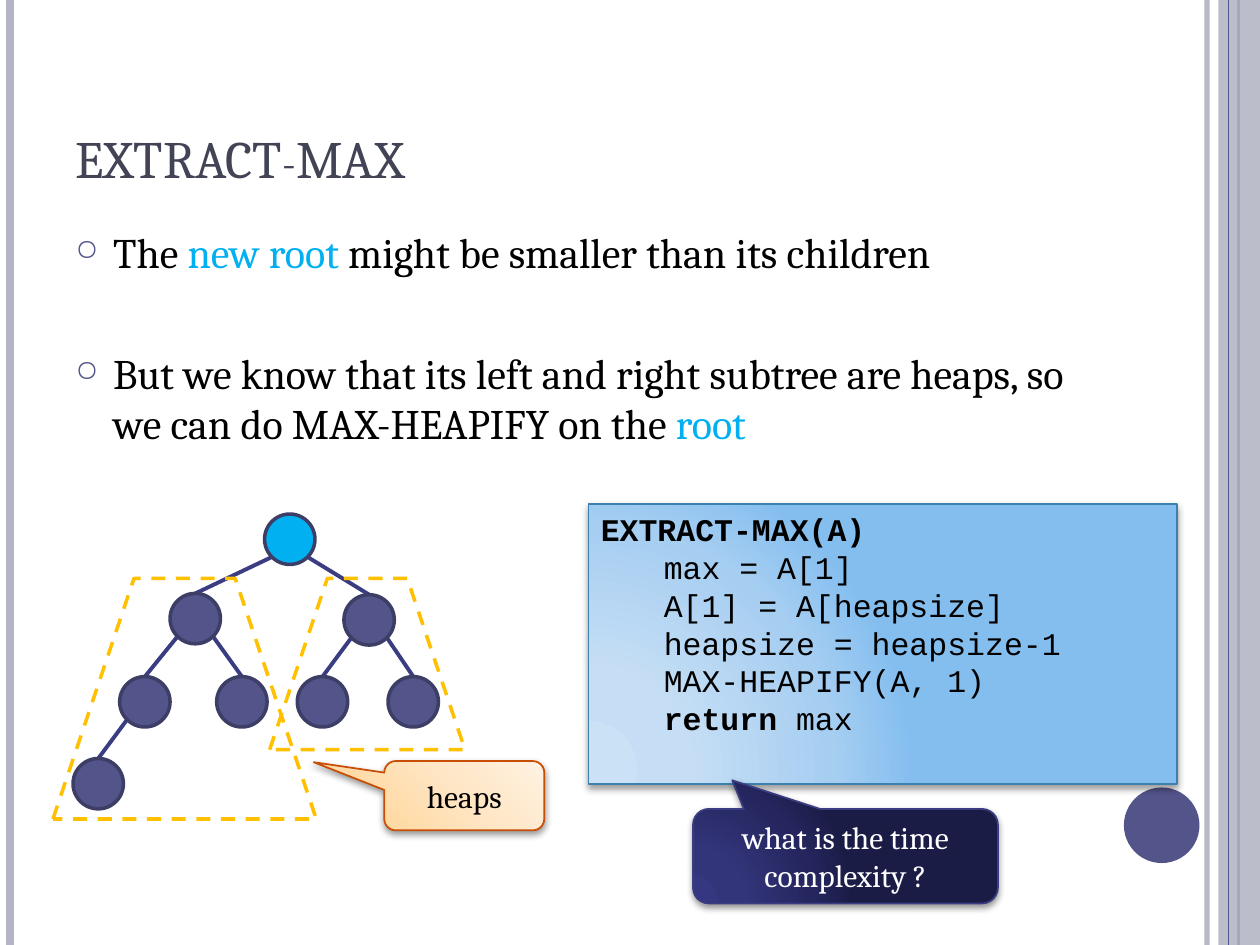
from dataclasses import dataclass

from lxml import etree
from pptx import Presentation
from pptx.dml.color import RGBColor
from pptx.enum.dml import MSO_LINE
from pptx.enum.shapes import MSO_CONNECTOR, MSO_SHAPE
from pptx.enum.text import MSO_ANCHOR, MSO_AUTO_SIZE, PP_ALIGN
from pptx.oxml.ns import qn
from pptx.util import Inches, Pt

STRAIGHT = MSO_CONNECTOR.STRAIGHT
OVAL, RECTANGLE, TRAPEZOID = MSO_SHAPE.OVAL, MSO_SHAPE.RECTANGLE, MSO_SHAPE.TRAPEZOID
CALLOUT = MSO_SHAPE.ROUNDED_RECTANGULAR_CALLOUT
DASH = MSO_LINE.DASH
TOP, MIDDLE, BOTTOM = MSO_ANCHOR.TOP, MSO_ANCHOR.MIDDLE, MSO_ANCHOR.BOTTOM
LEFT, CENTER = PP_ALIGN.LEFT, PP_ALIGN.CENTER
NO_AUTOFIT = MSO_AUTO_SIZE.NONE


@dataclass(frozen=True)
class Theme:
    serif: str = "Cambria"
    mono: str = "Courier New"
    title_size: int = 30
    body_size: int = 24
    label_size: int = 18
    title: RGBColor = RGBColor.from_string("424456")
    text: RGBColor = RGBColor.from_string("000000")
    light_text: RGBColor = RGBColor.from_string("FFFFFF")
    bar: RGBColor = RGBColor.from_string("B3B4C4")
    node: RGBColor = RGBColor.from_string("53548A")
    node_line: RGBColor = RGBColor.from_string("3D3E66")
    edge: RGBColor = RGBColor.from_string("3B3D82")
    root: RGBColor = RGBColor.from_string("00B0F0")
    heap: RGBColor = RGBColor.from_string("FFC000")
    heap_label_line: RGBColor = RGBColor.from_string("C84E06")
    code_line: RGBColor = RGBColor.from_string("3C81AE")
    heap_label_fill: tuple = ((0, "FFD8A0"), (50, "FFE6C5"), (100, "FFF2E3"))
    code_fill: tuple = ((0, "CBE1F6"), (30, "C6DEF5"), (75, "A6CEF1"), (100, "84BEEF"))
    question_fill: tuple = ((0, "353780"), (30, "33357B"), (75, "25265E"), (100, "1B1C46"))


theme = Theme()


def add_line(shapes, start, end, color, width):
    line = shapes.add_connector(STRAIGHT, *map(Inches, start + end))
    line.line.color.rgb = color
    line.line.width = Pt(width)
    etree.SubElement(line._element.spPr, qn("a:effectLst"))
    return line


def add_panel(kind, box, stops, radial, line_color, opacity):
    """Add a shape with a gradient fill and a soft shadow below it."""
    panel = slide.shapes.add_shape(kind, *map(Inches, box))
    panel.line.color.rgb = line_color
    panel.line.width = Pt(1)
    panel.fill.gradient()
    gradient = panel._element.spPr.find(qn("a:gradFill"))
    for child in list(gradient):
        gradient.remove(child)
    stop_list = etree.SubElement(gradient, qn("a:gsLst"))
    for position, color in stops:
        stop = etree.SubElement(stop_list, qn("a:gs"), pos=str(position * 1000))
        etree.SubElement(stop, qn("a:srgbClr"), val=color)
    if radial:
        circle = etree.SubElement(gradient, qn("a:path"), path="circle")
        etree.SubElement(circle, qn("a:fillToRect"), l="5000", t="100000", r="120000", b="10000")
    else:
        etree.SubElement(gradient, qn("a:lin"), ang=str(315 * 60000), scaled="0")
    panel.shadow.inherit = False
    effects = panel._element.spPr.find(qn("a:effectLst"))
    shadow = etree.SubElement(effects, qn("a:outerShdw"), blurRad=str(Pt(4)), dist=str(Pt(2)),
                              dir=str(90 * 60000), rotWithShape="0")
    shadow_color = etree.SubElement(shadow, qn("a:srgbClr"), val="000000")
    etree.SubElement(shadow_color, qn("a:alpha"), val=str(opacity * 1000))
    panel.text_frame.word_wrap = True
    return panel


presentation = Presentation()
presentation.slide_width, presentation.slide_height = Inches(10), Inches(7.5)
slide = presentation.slides.add_slide(presentation.slide_layouts[5])
shapes = slide.shapes

# Side bars and the round ornament
outer_bar = add_line(shapes, (9.58, 0), (9.58, 7.5), theme.bar, 3)
add_line(shapes, (0.08, 0), (0.08, 7.5), theme.bar, 4.5)
add_line(shapes, (9.83, 0), (9.83, 7.5), theme.bar, 1.5).line.color.rgb = theme.node
band = shapes.add_shape(RECTANGLE, Inches(9.67), 0, Inches(0.33), Inches(7.5))
add_line(shapes, (9.75, 0), (9.75, 7.5), theme.node, 0.75)
ornament = shapes.add_shape(OVAL, Inches(8.92), Inches(6.25), Inches(0.6), Inches(0.6))
for shape, color in ((band, theme.bar), (ornament, theme.node)):
    shape.fill.solid()
    shape.fill.fore_color.rgb = color
    shape.line.fill.background()
    shape.shadow.inherit = False
for shape, opacity in ((outer_bar, 93), (band, 87)):
    color = shape._element.spPr.find(".//" + qn("a:srgbClr"))
    etree.SubElement(color, qn("a:alpha"), val=str(opacity * 1000))

# Title
title = shapes.title
title.left, title.top, title.width, title.height = map(Inches, (0.5, 0.3, 8.17, 1.25))
title.text_frame.text = "EXTRACT-MAX"
title.text_frame.auto_size = NO_AUTOFIT
title.text_frame.vertical_anchor = BOTTOM
title.text_frame.paragraphs[0].alignment = LEFT
title_font = title.text_frame.paragraphs[0].runs[0].font
title_font.name, title_font.size = theme.serif, Pt(theme.title_size)
title_font.color.rgb = theme.title
title_font._element.set("cap", "small")

# Bullets: (text, highlighted) runs
bullets = [
    [("The ", False), ("new root ", True), ("might be smaller than its children", False)],
    [("But we know that its left and right subtree are heaps, so we can do MAX-HEAPIFY on the ",
      False), ("root", True)],
]
body = shapes.add_textbox(*map(Inches, (0.5, 1.75, 8.17, 2))).text_frame
body.word_wrap = True
for index, bullet in enumerate(bullets):
    paragraph = body.add_paragraph() if index else body.paragraphs[0]
    properties = paragraph._p.get_or_add_pPr()
    properties.set("marL", str(Inches(0.3)))
    properties.set("indent", str(-Inches(0.3)))
    bullet_color = etree.SubElement(properties, qn("a:buClr"))
    etree.SubElement(bullet_color, qn("a:srgbClr"), val=str(theme.node))
    etree.SubElement(properties, qn("a:buSzPct"), val="70000")
    etree.SubElement(properties, qn("a:buChar"), char="○")
    if index:
        paragraph.space_before = Pt(40)
    for text, highlighted in bullet:
        run = paragraph.add_run()
        run.text = text
        run.font.name, run.font.size = theme.serif, Pt(theme.body_size)
        run.font.color.rgb = theme.root if highlighted else theme.text

# Heap tree: node centres, with the children of node i at 2i and 2i + 1
centers = {1: (2.3, 4.28), 2: (1.55, 4.91), 3: (2.93, 4.92), 4: (1.15, 5.57),
           5: (1.92, 5.57), 6: (2.56, 5.57), 7: (3.28, 5.57), 8: (0.78, 6.22)}
radius = 0.2
diagonal = 0.14
tree = shapes.add_group_shape().shapes
for number, (x, y) in centers.items():
    if number > 1:
        parent_x, parent_y = centers[number // 2]
        side = diagonal if number % 2 else -diagonal
        add_line(tree, (parent_x + side, parent_y + diagonal), (x, y - radius), theme.edge, 2.25)
for number, (x, y) in centers.items():
    node = tree.add_shape(OVAL, *map(Inches, (x - radius, y - radius, 2 * radius, 2 * radius)))
    node.fill.solid()
    node.fill.fore_color.rgb = theme.root if number == 1 else theme.node
    node.line.color.rgb = theme.node_line
    node.line.width = Pt(2)
    node.shadow.inherit = False

# Dashed outlines around the two subtrees
for box in ((0.42, 4.59, 2.09, 1.91), (2.14, 4.59, 1.55, 1.36)):
    outline = shapes.add_shape(TRAPEZOID, *map(Inches, box))
    outline.adjustments[0] = 0.337
    outline.fill.background()
    outline.line.color.rgb = theme.heap
    outline.line.width = Pt(2)
    outline.line.dash_style = DASH
    outline.shadow.inherit = False

# Pseudocode
code_lines = ["EXTRACT-MAX(A)", "\tmax = A[1]", "\tA[1] = A[heapsize]",
              "\theapsize = heapsize-1", "\tMAX-HEAPIFY(A, 1)", "\treturn max"]
bold_words = ("EXTRACT-MAX(A)", "return")
code = add_panel(RECTANGLE, (4.67, 4, 4.67, 2.22), theme.code_fill, True, theme.code_line, 40)
code.text_frame.vertical_anchor = TOP
for index, line in enumerate(code_lines):
    paragraph = code.text_frame.add_paragraph() if index else code.text_frame.paragraphs[0]
    paragraph.alignment = LEFT
    parts = ["\t", "return", " max"] if "return" in line else [line]
    for part in parts:
        run = paragraph.add_run()
        run.text = part
        run.font.name, run.font.size = theme.mono, Pt(theme.label_size)
        run.font.bold = part in bold_words
        run.font.color.rgb = theme.text

# Callouts
callouts = [
    ("heaps", (3.05, 6.04, 1.27, 0.55), (-0.941, -0.483), theme.heap_label_fill, False,
     theme.heap_label_line, theme.text, 40),
    ("what is the time complexity ?", (5.5, 6.42, 2.42, 0.75), (-0.371, -0.803),
     theme.question_fill, True, theme.edge, theme.light_text, 42),
]
for text, box, tip, stops, radial, line_color, text_color, opacity in callouts:
    callout = add_panel(CALLOUT, box, stops, radial, line_color, opacity)
    callout.adjustments[0], callout.adjustments[1] = tip
    callout.text_frame.text = text
    callout.text_frame.vertical_anchor = MIDDLE
    paragraph = callout.text_frame.paragraphs[0]
    paragraph.alignment = CENTER
    font = paragraph.runs[0].font
    font.name, font.size = theme.serif, Pt(theme.label_size)
    font.color.rgb = text_color

presentation.save("out.pptx")
